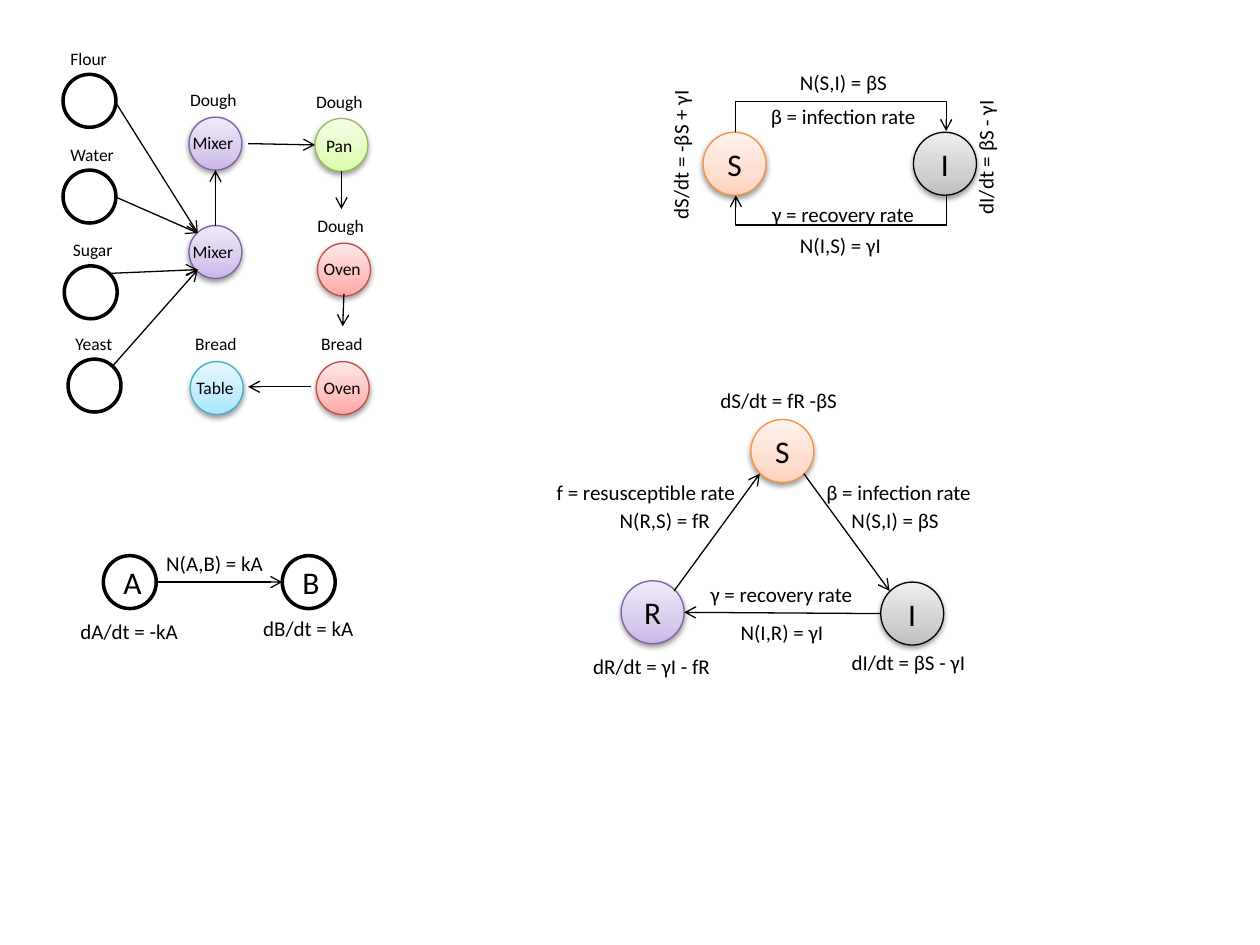
from copy import deepcopy

from pptx import Presentation
from pptx.dml.color import RGBColor
from pptx.enum.shapes import MSO_CONNECTOR as Line, MSO_SHAPE as Shape
from pptx.enum.text import MSO_ANCHOR as Anchor, MSO_AUTO_SIZE as AutoSize, PP_ALIGN as Align
from pptx.oxml import parse_xml
from pptx.oxml.ns import nsdecls, qn
from pptx.oxml.xmlchemy import OxmlElement
from pptx.util import Inches, Pt

FONT = "Calibri"
COLORS = {"black": "000000", "white": "FFFFFF"}
# Outline, then gradient stops from bottom to top
GRADIENTS = {
    "purple": ("7D60A0", "C9B5E8", "D8CBEE", "F0EAF9"),
    "green": ("98B955", "DAFDA7", "E4FCC2", "F5FFE7"),
    "red": ("BF4C48", "FFA6A5", "FFC0BF", "FFE7E7"),
    "blue": ("46AAC5", "A7E6FF", "C1EDFF", "E7F8FF"),
    "orange": ("F69240", "FFD2BD", "FFDED0", "FFF2ED"),
    "gray": ("000000", "BDBDBD", "D1D1D1", "EEEEEE"),
}
STOP_POSITIONS = (0, 0.35, 1)

# nodes: left, top, style, letter
# labels: text, left, top, width; upright labels also have a height
# arrows: start x, start y, end x, end y
DIAGRAMS = [
    {  # bread making
        "diameter": 0.42, "label size": 10,
        "nodes": [
            (0.5, 0.59, "plain", ""), (0.5, 1.35, "plain", ""),
            (0.51, 2.11, "plain", ""), (0.54, 2.85, "plain", ""),
            (1.5, 1.79, "purple", ""), (1.5, 0.93, "purple", ""),
            (2.5, 0.94, "green", ""), (2.52, 1.93, "red", ""),
            (2.51, 2.87, "red", ""), (1.51, 2.87, "blue", ""),
        ],
        "arrows": [
            (0.91, 0.8, 1.57, 1.85), (0.91, 1.56, 1.57, 1.85),
            (0.87, 2.17, 1.57, 2.14), (0.89, 2.91, 1.57, 2.14),
            (1.71, 1.79, 1.71, 1.35), (1.97, 1.14, 2.5, 1.15),
            (2.71, 1.36, 2.71, 1.66), (2.73, 2.33, 2.72, 2.59),
            (2.47, 3.07, 1.97, 3.07),
        ],
        "labels": [
            ("Flour", 0.46, 0.33, 0.49), ("Water", 0.46, 1.09, 0.56),
            ("Sugar", 0.48, 1.85, 0.52), ("Yeast", 0.5, 2.59, 0.51),
            ("Mixer", 1.43, 1.86, 0.53), ("Mixer", 1.43, 1, 0.53),
            ("Dough", 1.41, 0.66, 0.58), ("Pan", 2.49, 1.02, 0.41),
            ("Dough", 2.41, 0.67, 0.58), ("Oven", 2.47, 2, 0.5),
            ("Dough", 2.42, 1.66, 0.58), ("Oven", 2.47, 2.94, 0.5),
            ("Bread", 2.45, 2.59, 0.54), ("Table", 1.46, 2.94, 0.51),
            ("Bread", 1.45, 2.59, 0.54),
        ],
    },
    {  # infection and recovery
        "diameter": 0.5, "label size": 12,
        "nodes": [(5.58, 1.05, "orange", "S"), (7.25, 1.05, "gray", "I")],
        "elbows": [(5.84, 1.05, 7.51, 1.04), (7.51, 1.54, 5.84, 1.55)],
        "labels": [
            ("β = infection rate", 6.02, 0.77, 1.36),
            ("γ = recovery rate", 6.03, 1.55, 1.34),
            ("N(S,I) = βS", 6.25, 0.5, 0.9), ("N(I,S) = γI", 6.25, 1.8, 0.85),
        ],
        "upright labels": [
            ("dS/dt = -βS + γI", 5.25, 0.71, 0.4, 1.13),
            ("dI/dt = βS - γI", 7.67, 0.79, 0.4, 1.01),
        ],
    },
    {  # infection, recovery and lost immunity
        "diameter": 0.5, "label size": 12,
        "nodes": [(5.96, 3.33, "orange", "S"), (4.93, 4.61, "purple", "R"),
                  (6.99, 4.62, "gray", "I")],
        "arrows": [(6.38, 3.76, 7.06, 4.69), (5.35, 4.69, 6.03, 3.76),
                   (6.99, 4.87, 5.43, 4.86)],
        "labels": [
            ("dS/dt = fR -βS", 5.62, 3.03, 1.17), ("dI/dt = βS - γI", 6.66, 5.11, 1.15),
            ("dR/dt = γI - fR", 4.61, 5.14, 1.14),
            ("β = infection rate", 6.46, 3.76, 1.36),
            ("γ = recovery rate", 5.54, 4.57, 1.34),
            ("f = resusceptible rate", 4.32, 3.76, 1.63),
            ("N(S,I) = βS", 6.66, 3.98, 0.9), ("N(I,R) = γI", 5.78, 4.87, 0.87),
            ("N(R,S) = fR", 4.82, 3.98, 0.93),
        ],
    },
    {  # decay of A into B
        "diameter": 0.42, "label size": 12,
        "nodes": [(0.82, 4.41, "plain", "A"), (2.24, 4.41, "plain", "B")],
        "arrows": [(1.24, 4.62, 2.24, 4.62)],
        "labels": [("dA/dt = -kA", 0.54, 4.86, 0.98), ("N(A,B) = kA", 1.22, 4.32, 0.98),
                   ("dB/dt = kA", 1.99, 4.84, 0.93)],
    },
]
ELBOW_REACH = 0.25


def rgb(name):
    return RGBColor.from_string(COLORS.get(name, name))


def write(frame, text, size, align=Align.LEFT):
    para = frame.paragraphs[0]
    para.alignment = align
    span = para.add_run()
    span.text = text
    span.font.name, span.font.size = FONT, Pt(size)
    span.font.color.rgb = rgb("black")


def fill_gradient(shape, colors):
    shape.fill.gradient()
    shape.fill.gradient_angle = 90
    stop_list = shape.fill._xPr.find(qn("a:gradFill")).find(qn("a:gsLst"))
    stop_list.append(deepcopy(stop_list[0]))
    for stop, position, color in zip(shape.fill.gradient_stops, STOP_POSITIONS, colors):
        stop.position = position
        stop.color.rgb = rgb(color)


def add_soft_shadow(shape):
    effects = shape._element.spPr.find(qn("a:effectLst"))
    effects.append(parse_xml(
        f'<a:outerShdw {nsdecls("a")} blurRad="{Pt(3.1)}" dist="{Pt(1.6)}" dir="5400000" '
        'rotWithShape="0"><a:srgbClr val="000000"><a:alpha val="38000"/></a:srgbClr>'
        '</a:outerShdw>'))


def add_node(shapes, left, top, style, letter, diameter):
    node = shapes.add_shape(Shape.OVAL, *map(Inches, (left, top, diameter, diameter)))
    node.shadow.inherit = False
    if style == "plain":
        node.fill.solid()
        node.fill.fore_color.rgb = rgb("white")
        outline, width = "black", 2
    else:
        outline, *stops = GRADIENTS[style]
        width = 0.75
        fill_gradient(node, stops)
        add_soft_shadow(node)
    node.line.color.rgb, node.line.width = rgb(outline), Pt(width)
    if letter:
        node.text_frame.vertical_anchor = Anchor.MIDDLE
        write(node.text_frame, letter, 18, align=Align.CENTER)


def add_arrow(shapes, *ends, kind=Line.STRAIGHT):
    arrow = shapes.add_connector(kind, *map(Inches, ends))
    arrow.line.color.rgb, arrow.line.width = rgb("black"), Pt(0.75)
    head = OxmlElement("a:tailEnd")
    head.set("type", "arrow")
    arrow.line._get_or_add_ln().append(head)
    arrow._element.spPr.append(OxmlElement("a:effectLst"))
    return arrow


def add_elbow(shapes, x1, y1, x2, y2):
    """Draw a U-shaped arrow: a narrow, tall elbow turned by a quarter."""
    middle_x, middle_y = (x1 + x2) / 2, (y1 + y2) / 2
    half_width, half_height = (y2 - y1) / 2, (x1 - x2) / 2
    elbow = add_arrow(shapes, middle_x - half_width, middle_y - half_height,
                      middle_x + half_width, middle_y + half_height, kind=Line.ELBOW)
    properties = elbow._element.spPr
    properties.find(qn("a:xfrm")).set("rot", "5400000")
    guide = OxmlElement("a:gd")
    guide.set("name", "adj1")
    guide.set("fmla", f"val {round(ELBOW_REACH / abs(y2 - y1) * 100000)}")
    properties.find(qn("a:prstGeom")).get_or_add_avLst().append(guide)


def add_label(shapes, text, left, top, width, height=0.3, size=12, upright=False):
    box = shapes.add_textbox(*map(Inches, (left, top, width, height)))
    frame = box.text_frame
    frame.word_wrap = False
    frame.auto_size = AutoSize.SHAPE_TO_FIT_TEXT
    if upright:
        frame._txBody.bodyPr.set("vert", "vert270")
    write(frame, text, size)


deck = Presentation()
deck.slide_width, deck.slide_height = Inches(10), Inches(7.5)
page = deck.slides.add_slide(deck.slide_layouts[6])

for diagram in DIAGRAMS:
    shapes = page.shapes.add_group_shape().shapes
    size = diagram["label size"]
    for node in diagram["nodes"]:
        add_node(shapes, *node, diagram["diameter"])
    for ends in diagram.get("arrows", []):
        add_arrow(shapes, *ends)
    for ends in diagram.get("elbows", []):
        add_elbow(shapes, *ends)
    for label in diagram["labels"]:
        add_label(shapes, *label, height=0.27 if size == 10 else 0.3, size=size)
    for label in diagram.get("upright labels", []):
        add_label(shapes, *label, size=size, upright=True)

deck.save("out.pptx")
